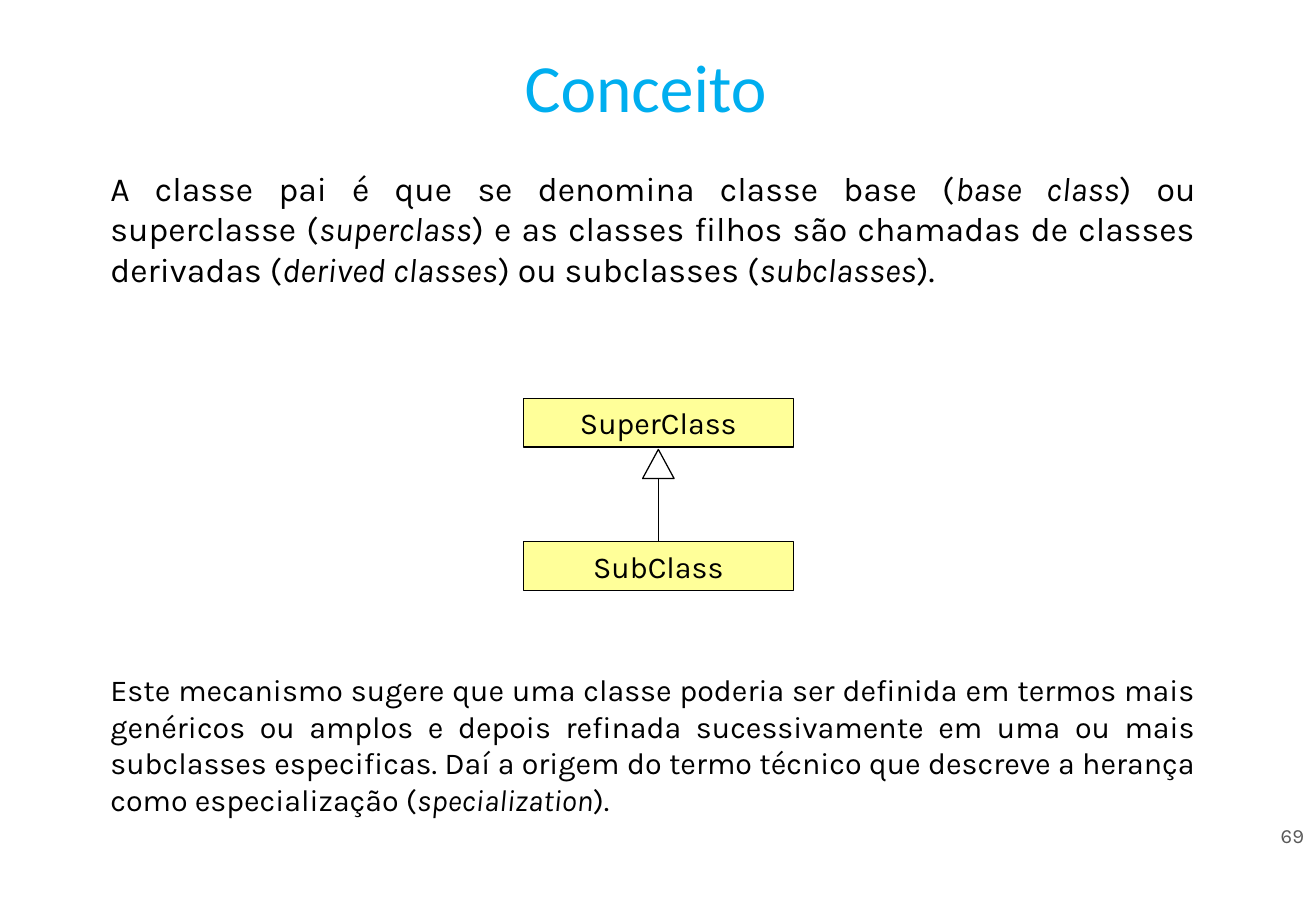
from lxml.etree import SubElement
from pptx import Presentation
from pptx.dml.color import RGBColor
from pptx.enum.shapes import MSO_CONNECTOR, MSO_SHAPE
from pptx.enum.text import MSO_ANCHOR, PP_ALIGN
from pptx.oxml.ns import qn
from pptx.util import Inches, Pt

COLORS = {"title": "00AEEF", "text": "000000", "number": "595959",
          "class": "FFFF99", "line": "000000"}
COLUMNS, ROWS = 130, 90


def write_text(shape, runs, size=18, font="Karla", color="text",
               align=PP_ALIGN.CENTER, anchor=MSO_ANCHOR.MIDDLE):
    """Fill the shape with one paragraph; every second run is italic."""
    frame = shape.text_frame
    frame.word_wrap = True
    frame.vertical_anchor = anchor
    frame.margin_left = frame.margin_right = Inches(0.1)
    frame.margin_top = frame.margin_bottom = Inches(0.05)
    paragraph = frame.paragraphs[0]
    paragraph.alignment = align
    for index, text in enumerate(runs):
        run = paragraph.add_run()
        run.text = text
        run.font.size = Pt(size)
        run.font.name = font
        run.font.italic = index % 2 == 1
        run.font.color.rgb = RGBColor.from_string(COLORS[color])


class ConceptSlide:
    def __init__(self, presentation):
        self.cell_width = presentation.slide_width / COLUMNS
        self.cell_height = presentation.slide_height / ROWS
        self.slide = presentation.slides.add_slide(presentation.slide_layouts[5])
        self.shapes = self.slide.shapes

    def place(self, column, row, columns, rows):
        return (round(column * self.cell_width), round(row * self.cell_height),
                round(columns * self.cell_width), round(rows * self.cell_height))

    def outline(self, shape):
        shape.line.color.rgb = RGBColor.from_string(COLORS["line"])
        shape.line.width = Pt(0.75)

    def title(self, text, area):
        title = self.shapes.title
        title.left, title.top, title.width, title.height = self.place(*area)
        write_text(title, [text], size=40, font="Calibri", color="title")

    def text(self, runs, area, **text_format):
        write_text(self.shapes.add_textbox(*self.place(*area)), runs, **text_format)

    def shape(self, kind, area, fill=None):
        shape = self.shapes.add_shape(kind, *self.place(*area))
        shape.shadow.inherit = False
        if fill:
            shape.fill.solid()
            shape.fill.fore_color.rgb = RGBColor.from_string(COLORS[fill])
        else:
            shape.fill.background()
        self.outline(shape)
        return shape

    def class_box(self, name, area):
        box = self.shape(MSO_SHAPE.RECTANGLE, area, fill="class")
        write_text(box, [name])
        return box

    def inheritance(self, parent, child):
        """Join the child to a hollow triangle under the parent."""
        columns, rows = 3.12, 2.88
        center = parent.left + parent.width // 2
        bottom = parent.top + parent.height
        head = self.shape(MSO_SHAPE.ISOSCELES_TRIANGLE,
                          (center / self.cell_width - columns / 2,
                           bottom / self.cell_height + 0.24, columns, rows))
        connector = self.shapes.add_connector(
            MSO_CONNECTOR.STRAIGHT, center, child.top, center, head.top + head.height)
        connector.begin_connect(child, 0)
        self.outline(connector)
        SubElement(connector.element.spPr, qn("a:effectLst"))


def main():
    presentation = Presentation()
    presentation.slide_width, presentation.slide_height = Inches(10.83), Inches(7.5)
    concept = ConceptSlide(presentation)
    concept.title("Conceito", (5.28, 3.36, 117, 10.2))
    body = {"align": PP_ALIGN.JUSTIFY, "anchor": MSO_ANCHOR.TOP}
    concept.text(["A classe pai é que se denomina classe base (", "base class",
                  ") ou superclasse (", "superclass",
                  ") e as classes filhos são chamadas de classes derivadas (",
                  "derived classes", ") ou subclasses (", "subclasses", ")."],
                 (9.72, 15.96, 109.56, 13.2), size=20, **body)
    parent, child = [concept.class_box(name, (51.72, row, 26.64, 4.8))
                     for name, row in (("SuperClass", 39.36), ("SubClass", 53.52))]
    concept.inheritance(parent, child)
    concept.text(["Este mecanismo sugere que uma classe poderia ser definida em termos "
                  "mais genéricos ou amplos e depois refinada sucessivamente em uma ou "
                  "mais subclasses especificas. Daí a origem do termo técnico que "
                  "descreve a herança como especialização (", "specialization", ")."],
                 (9.72, 65.76, 109.56, 15.6), **body)
    concept.text(["69"], (117, 80.76, 13, 3.6), size=12, color="number",
                 align=PP_ALIGN.RIGHT)
    presentation.save("out.pptx")


if __name__ == "__main__":
    main()
